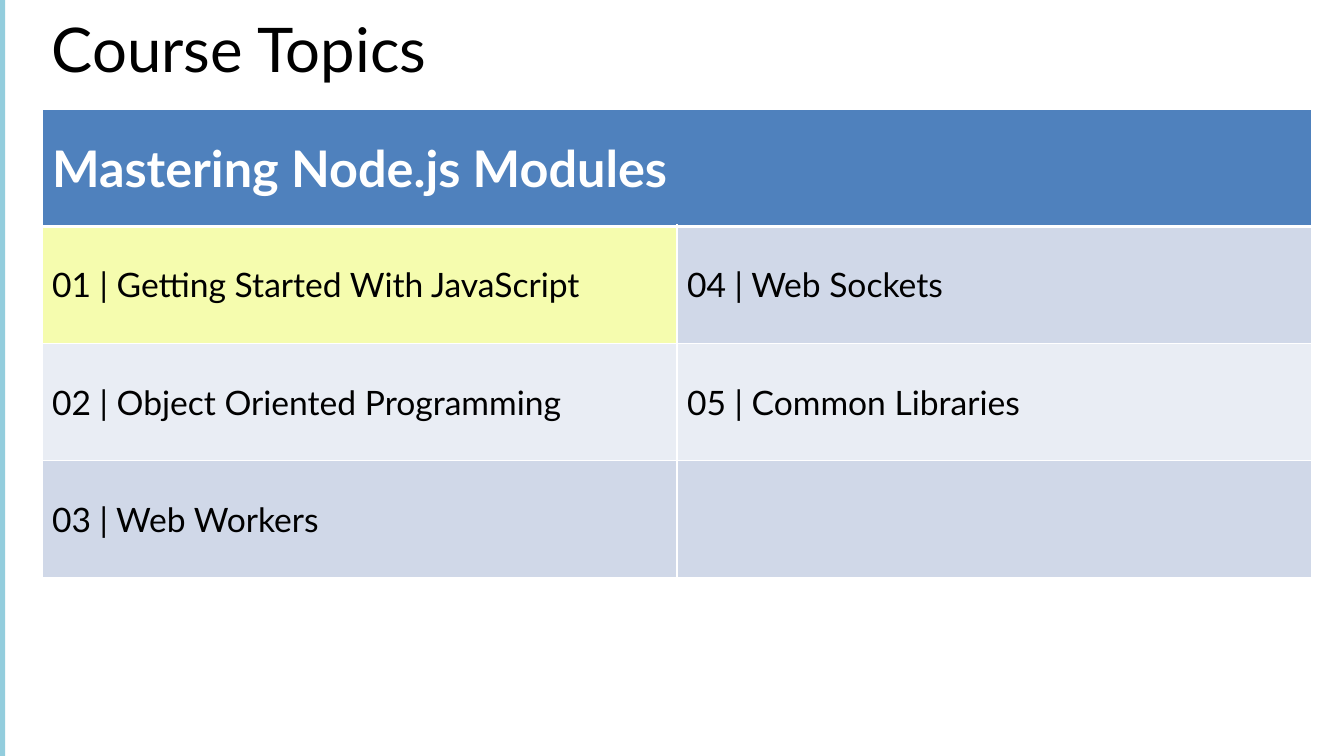
from lxml.etree import SubElement
from pptx import Presentation
from pptx.dml.color import RGBColor as RGB
from pptx.enum.shapes import MSO_SHAPE as Shape
from pptx.enum.text import MSO_ANCHOR as Anchor
from pptx.oxml.ns import qn
from pptx.util import Inches, Pt

BLACK = RGB(0x00, 0x00, 0x00)
WHITE = RGB(0xFF, 0xFF, 0xFF)
AQUA = RGB(0x93, 0xCD, 0xDD)
BLUE = RGB(0x4F, 0x81, 0xBD)
YELLOW = RGB(0xF5, 0xFC, 0xAE)
BANDS = RGB(0xD0, 0xD8, 0xE8), RGB(0xE9, 0xED, 0xF4)

COURSE = "Mastering Node.js Modules"
TOPICS = [
    ("01 | Getting Started With JavaScript", "04 | Web Sockets"),
    ("02 | Object Oriented Programming", "05 | Common Libraries"),
    ("03 | Web Workers", ""),
]


class Deck:
    columns, rows = 32, 18
    font = "Lato"
    title = {"size": Pt(44), "bold": False, "color": BLACK}
    heading = {"size": Pt(36), "bold": True, "color": WHITE}
    body = {"size": Pt(24), "bold": False, "color": BLACK}

    def __init__(self):
        self.deck = Presentation()
        self.deck.slide_width = Inches(13.33)
        self.deck.slide_height = Inches(7.5)
        self.slide = self.deck.slides.add_slide(self.deck.slide_layouts[6])

    def place(self, column, row, wide, high):
        across = self.deck.slide_width / self.columns
        down = self.deck.slide_height / self.rows
        return [round(n) for n in
                (column * across, row * down, wide * across, high * down)]

    def add_words(self, frame, words, style):
        paragraph = frame.paragraphs[0]
        run = paragraph.add_run()
        run.text = words
        run.font.name = self.font
        for key, value in style.items():
            if key == "color":
                run.font.color.rgb = value
            else:
                setattr(run.font, key, value)
        return paragraph

    def bar(self, area, color):
        bar = self.slide.shapes.add_shape(Shape.RECTANGLE, *self.place(*area))
        bar.shadow.inherit = False
        bar.fill.solid()
        bar.fill.fore_color.rgb = color
        bar.line.fill.background()

    def text(self, area, words, style, spacing):
        frame = self.slide.shapes.add_textbox(*self.place(*area)).text_frame
        frame.word_wrap = True
        self.add_words(frame, words, style).line_spacing = spacing

    def borders(self, cell, **widths):
        properties = cell._tc.get_or_add_tcPr()
        for position, side in enumerate("LRTB"):
            line = properties.makeelement(
                qn(f"a:ln{side}"), {"w": str(Pt(widths.get(side, 1)))})
            solid = SubElement(line, qn("a:solidFill"))
            SubElement(solid, qn("a:srgbClr"), val=str(WHITE))
            properties.insert(position, line)

    def cell(self, cell, words, style, color, **widths):
        cell.vertical_anchor = Anchor.MIDDLE
        cell.fill.solid()
        cell.fill.fore_color.rgb = color
        if words:
            self.add_words(cell.text_frame, words, style)
        self.borders(cell, **widths)

    def table(self, area, heading, topics, current):
        table = self.slide.shapes.add_table(
            len(topics) + 1, len(topics[0]), *self.place(*area)).table
        for column, words in enumerate((heading, "")):
            self.cell(table.cell(0, column), words, self.heading, BLUE, B=3)
        table.cell(0, 0).merge(table.cell(0, len(topics[0]) - 1))
        for row, pair in enumerate(topics):
            for column, topic in enumerate(pair):
                color = YELLOW if (row, column) == current else BANDS[row % 2]
                self.cell(table.cell(row + 1, column), topic, self.body,
                          color, T=1 if row else 3)


def main():
    page = Deck()
    page.bar((0, 0, 0.12, 18), AQUA)
    page.text((1, 0.48, 30.24, 1.82), "Course Topics", page.title, 0.8)
    page.table((1, 2.6, 30.24, 11.16), COURSE, TOPICS, current=(0, 0))
    page.deck.save("out.pptx")


if __name__ == "__main__":
    main()
